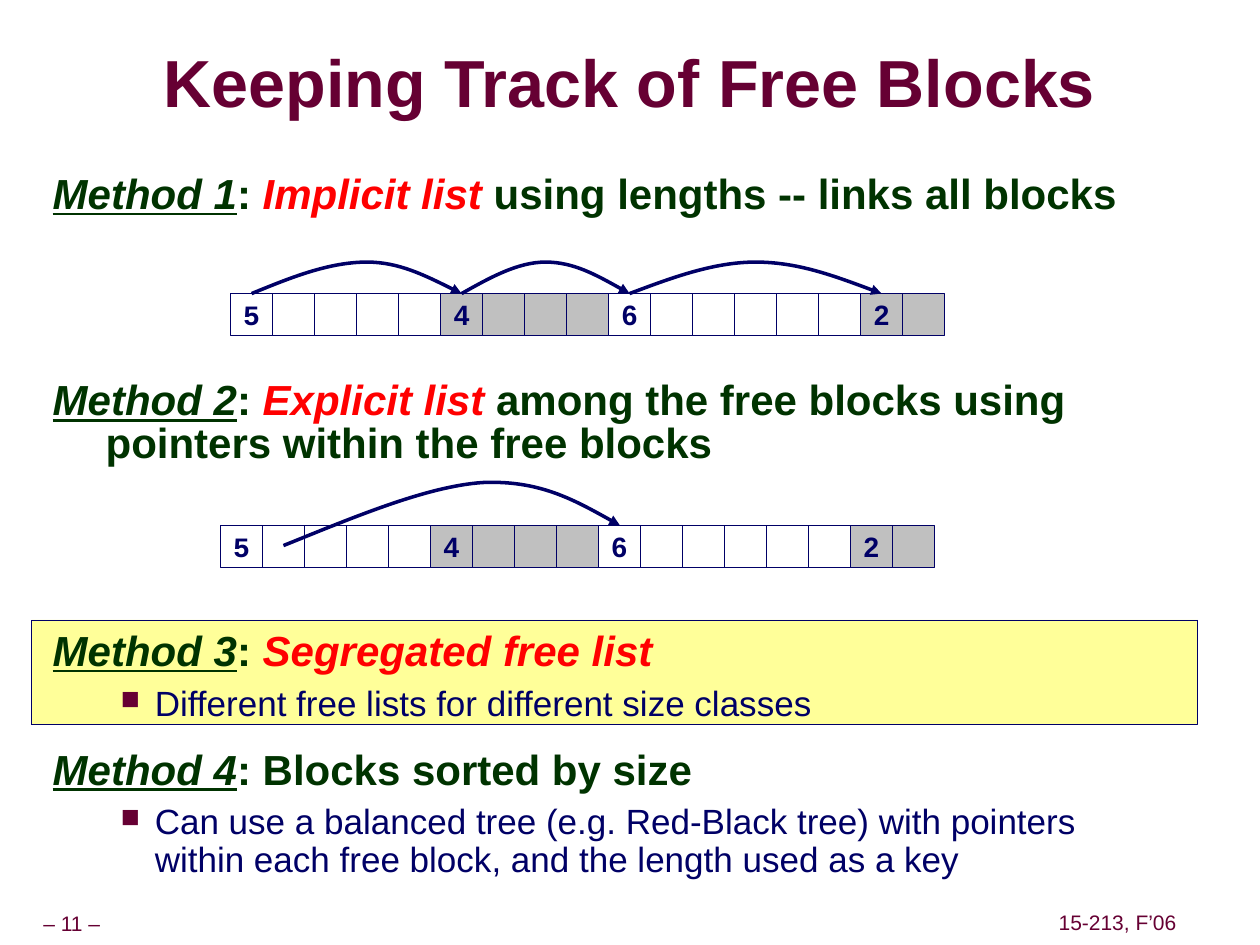
from lxml.etree import SubElement
from pptx import Presentation
from pptx.dml.color import RGBColor
from pptx.enum.dml import MSO_LINE
from pptx.enum.shapes import MSO_SHAPE
from pptx.enum.text import MSO_ANCHOR, PP_ALIGN
from pptx.oxml.ns import qn
from pptx.util import Inches, Pt

COLORS = {
    "maroon": "660033", "green": "003300", "red": "FF0000", "navy": "000066",
    "white": "FFFFFF", "gray": "C0C0C0", "yellow": "FFFF99",
}
CELL = 1 / 3
BLOCKS = [(5, "white", "Courier New"), (4, "gray", "Arial"),
          (6, "white", "Arial"), (2, "gray", "Arial")]


def color(name):
    return RGBColor.from_string(COLORS[name])


def add_text(paragraph, text, size=24, fill="green", font="Arial", bold=True,
             italic=False, underline=False):
    run = paragraph.add_run()
    run.text = text
    run.font.size = Pt(size)
    run.font.name = font
    run.font.bold = bold
    run.font.italic = italic
    run.font.underline = underline
    run.font.color.rgb = color(fill)
    return run


def set_frame(shape, margins, anchor=MSO_ANCHOR.TOP, wrap=True):
    frame = shape.text_frame
    frame.margin_left = frame.margin_right = Inches(margins[0])
    frame.margin_top = frame.margin_bottom = Inches(margins[1])
    frame.vertical_anchor = anchor
    frame.word_wrap = wrap
    return frame


def add_box(slide, left, top, width, height):
    return slide.shapes.add_textbox(
        Inches(left), Inches(top), Inches(width), Inches(height))


def add_rectangle(slide, left, top, width, height, fill):
    shape = slide.shapes.add_shape(
        MSO_SHAPE.RECTANGLE, Inches(left), Inches(top), Inches(width), Inches(height))
    shape.shadow.inherit = False
    shape.fill.solid()
    shape.fill.fore_color.rgb = color(fill)
    shape.line.color.rgb = color("navy")
    shape.line.width = Pt(0.25)
    return shape


def add_title(slide, left, top, width, height, text):
    box = add_box(slide, left, top, width, height)
    paragraph = set_frame(box, (0, 0), MSO_ANCHOR.MIDDLE).paragraphs[0]
    paragraph.alignment = PP_ALIGN.CENTER
    paragraph.line_spacing = 0.87
    run = add_text(paragraph, text, size=38, fill="maroon")
    effects = run.font._element.makeelement(qn("a:effectLst"))
    shadow = SubElement(effects, qn("a:outerShdw"), dist="38100", dir="2700000")
    SubElement(shadow, qn("a:srgbClr"), val=COLORS["gray"])
    run.font._element.find(qn("a:solidFill")).addnext(effects)


def add_footer(slide, left, top, width, height, text):
    box = add_box(slide, left, top, width, height)
    frame = set_frame(box, (0.05, 0.05), MSO_ANCHOR.MIDDLE, wrap=False)
    paragraph = frame.paragraphs[0]
    paragraph.alignment = PP_ALIGN.CENTER
    paragraph.line_spacing = 0.9
    add_text(paragraph, text, size=12, fill="maroon", bold=False)


def set_indent(paragraph, left, hanging):
    properties = paragraph._p.get_or_add_pPr()
    properties.set("marL", str(Inches(left)))
    properties.set("indent", str(-Inches(hanging)))
    return properties


def add_method(slide, left, top, width, height, number, term, rest, detail=None):
    frame = set_frame(add_box(slide, left, top, width, height), (0.1, 0.05))
    heading = frame.paragraphs[0]
    set_indent(heading, 0.42, 0.42)
    heading.line_spacing = 0.85
    add_text(heading, f"Method {number}", italic=True, underline=True)
    add_text(heading, ": " if term else f": {rest}")
    if term:
        add_text(heading, term, fill="red", italic=True)
        if rest:
            add_text(heading, f" {rest}")
    if detail:
        bullet = frame.add_paragraph()
        bullet.level = 1
        properties = set_indent(bullet, 0.81, 0.27)
        bullet.line_spacing = 0.9
        bullet.space_before = Pt(6.2)
        bullet_color = SubElement(properties, qn("a:buClr"))
        SubElement(bullet_color, qn("a:srgbClr"), val=COLORS["maroon"])
        SubElement(properties, qn("a:buSzPct"), val="75000")
        SubElement(properties, qn("a:buChar"), char="■")
        add_text(bullet, detail, size=20, fill="navy", bold=False)


def add_memory(slide, left, top):
    position = left
    for length, fill, font in BLOCKS:
        for index in range(length):
            cell = add_rectangle(slide, position, top, CELL, CELL, fill)
            if index == 0:
                frame = set_frame(cell, (0.1, 0.05), MSO_ANCHOR.MIDDLE, wrap=False)
                paragraph = frame.paragraphs[0]
                paragraph.alignment = PP_ALIGN.CENTER
                add_text(paragraph, str(length), size=16, fill="navy", font=font)
            position += CELL


def add_curve(slide, points):
    points = [(Inches(x), Inches(y)) for x, y in points]
    builder = slide.shapes.build_freeform(*points[0])
    builder.add_line_segments(points[1:], close=False)
    shape = builder.convert_to_shape()
    shape.shadow.inherit = False
    shape.fill.background()
    shape.line.color.rgb = color("navy")
    shape.line.width = Pt(2)
    SubElement(shape.line._get_or_add_ln(), qn("a:tailEnd"), type="triangle")
    outline = next(shape._element.iter(qn("a:path")))
    segments = outline.findall(qn("a:lnTo"))
    for start in range(0, len(segments), 3):
        cubic = SubElement(outline, qn("a:cubicBezTo"))
        for segment in segments[start:start + 3]:
            cubic.append(segment[0])
            outline.remove(segment)


def add_arc(slide, start, end, base, height, peak=0.5):
    fractions = [peak * step / 3 for step in range(4)]
    fractions += [peak + (1 - peak) * step / 3 for step in range(1, 4)]
    rises = [0, 0.5, 1, 1, 1, 0.5, 0]
    add_curve(slide, [(start + (end - start) * fraction, base - height * rise)
                      for fraction, rise in zip(fractions, rises)])


def add_implicit_list(slide, left, top):
    add_memory(slide, left, top)
    start = left + CELL / 2
    for (length, *_), peak in zip(BLOCKS[:-1], [0.55, 0.5, 0.5]):
        end = start + length * CELL
        add_arc(slide, start, end, top, 0.25, peak)
        start = end


def add_explicit_list(slide, left, top):
    add_memory(slide, left, top)
    offsets = [(0.5, 0.16), (1.07, -0.07), (1.64, -0.31), (2.08, -0.34),
               (2.53, -0.36), (2.85, -0.18), (3.17, 0)]
    add_curve(slide, [(left + x, top + y) for x, y in offsets])


def main():
    presentation = Presentation()
    presentation.slide_width = Inches(10)
    presentation.slide_height = Inches(7.5)
    slide = presentation.slides.add_slide(presentation.slide_layouts[6])

    add_footer(slide, 0, 7.2, 1.14, 0.28, "– 11 –")
    add_footer(slide, 8.35, 7.19, 1.04, 0.28, "15-213, F’06")
    highlight = add_rectangle(slide, 0.25, 4.92, 9.25, 0.83, "yellow")
    highlight.line.dash_style = MSO_LINE.ROUND_DOT
    add_title(slide, 1, 0.37, 8, 0.63, "Keeping Track of Free Blocks")

    methods = [
        (1.34, 0.5, "Implicit list", "using lengths -- links all blocks", None),
        (2.98, 0.8, "Explicit list",
         "among the free blocks using pointers within the free blocks", None),
        (4.97, 0.8, "Segregated free list", "",
         "Different free lists for different size classes"),
        (5.91, 1.14, "", "Blocks sorted by size",
         "Can use a balanced tree (e.g. Red-Black tree) with pointers "
         "within each free block, and the length used as a key"),
    ]
    for number, (top, height, term, rest, detail) in enumerate(methods, 1):
        add_method(slide, 0.32, top, 9.09, height, number, term, rest, detail)

    add_implicit_list(slide, 1.83, 2.33)
    add_explicit_list(slide, 1.75, 4.17)
    presentation.save("out.pptx")


if __name__ == "__main__":
    main()
